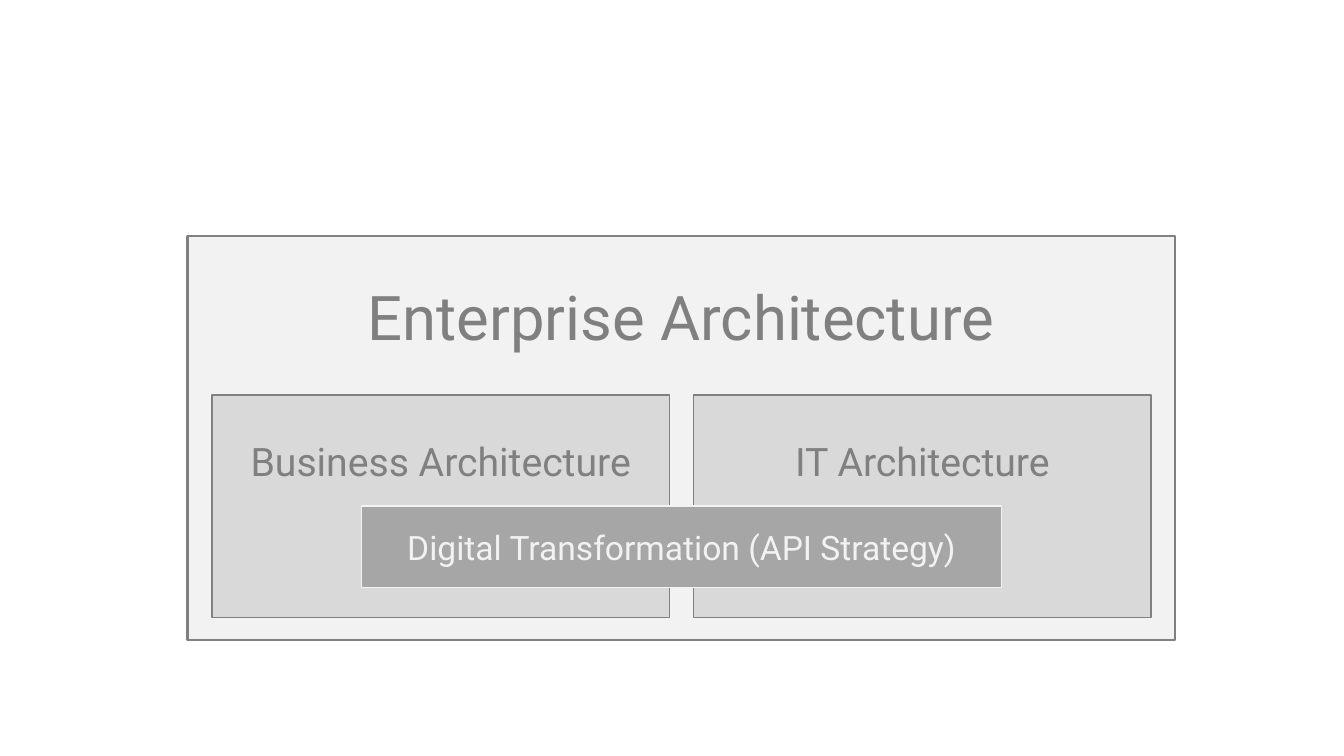
from dataclasses import dataclass

import pptx
import pptx.dml.color
import pptx.enum.shapes
import pptx.enum.text
import pptx.slide
import pptx.util


@dataclass(frozen=True)
class Theme:
    font: str = "Roboto"
    pale: str = "F2F2F2"
    light: str = "D9D9D9"
    medium: str = "A6A6A6"
    dark: str = "808080"
    heading_size: float = 44
    domain_size: float = 28
    strategy_size: float = 24


@dataclass(frozen=True)
class Block:
    label: str
    left: float
    top: float
    width: float
    height: float
    text_inset: float
    text_size: float
    fill: str
    ink: str
    line_width: float = 1


THEME = Theme()

SLIDE_WIDTH, SLIDE_HEIGHT = 960, 540
FRAME_LEFT, FRAME_TOP = 134, 168.5
FRAME_WIDTH, FRAME_HEIGHT = 705.6, 288.7
GAP = 17.3
DOMAINS = ("Business Architecture", "IT Architecture")
DOMAIN_WIDTH = (FRAME_WIDTH - GAP * (len(DOMAINS) + 1)) / len(DOMAINS)
STRATEGY_WIDTH = 457.2


def color(value: str) -> pptx.dml.color.RGBColor:
    return pptx.dml.color.RGBColor.from_string(value)


def architecture_blocks() -> list[Block]:
    frame = Block(
        "Enterprise Architecture", FRAME_LEFT, FRAME_TOP, FRAME_WIDTH, FRAME_HEIGHT,
        30.5, THEME.heading_size, THEME.pale, THEME.dark, line_width=1.5,
    )
    domains = [
        Block(
            label, FRAME_LEFT + GAP + index * (DOMAIN_WIDTH + GAP), 282.2,
            DOMAIN_WIDTH, 159.1, 30.5, THEME.domain_size, THEME.light, THEME.dark,
        )
        for index, label in enumerate(DOMAINS)
    ]
    strategy = Block(
        "Digital Transformation (API Strategy)",
        FRAME_LEFT + (FRAME_WIDTH - STRATEGY_WIDTH) / 2, 361.5, STRATEGY_WIDTH, 58.3,
        15, THEME.strategy_size, THEME.medium, THEME.pale,
    )
    return [frame, *domains, strategy]


def draw_block(slide: pptx.slide.Slide, block: Block) -> None:
    shape = slide.shapes.add_shape(
        pptx.enum.shapes.MSO_SHAPE.RECTANGLE,
        pptx.util.Pt(block.left), pptx.util.Pt(block.top),
        pptx.util.Pt(block.width), pptx.util.Pt(block.height),
    )
    shape.shadow.inherit = False
    shape.fill.solid()
    shape.fill.fore_color.rgb = color(block.fill)
    shape.line.color.rgb = color(block.ink)
    shape.line.width = pptx.util.Pt(block.line_width)

    frame = shape.text_frame
    frame.word_wrap = True
    frame.vertical_anchor = pptx.enum.text.MSO_ANCHOR.TOP
    frame.margin_top = pptx.util.Pt(block.text_inset)
    paragraph = frame.paragraphs[0]
    paragraph.alignment = pptx.enum.text.PP_ALIGN.CENTER
    run = paragraph.add_run()
    run.text = block.label
    run.font.name = THEME.font
    run.font.size = pptx.util.Pt(block.text_size)
    run.font.color.rgb = color(block.ink)


def main() -> None:
    presentation = pptx.Presentation()
    presentation.slide_width = pptx.util.Pt(SLIDE_WIDTH)
    presentation.slide_height = pptx.util.Pt(SLIDE_HEIGHT)
    blank_layout = presentation.slide_layouts.get_by_name("Blank")
    slide = presentation.slides.add_slide(blank_layout)
    for block in architecture_blocks():
        draw_block(slide, block)
    presentation.save("out.pptx")


if __name__ == "__main__":
    main()
